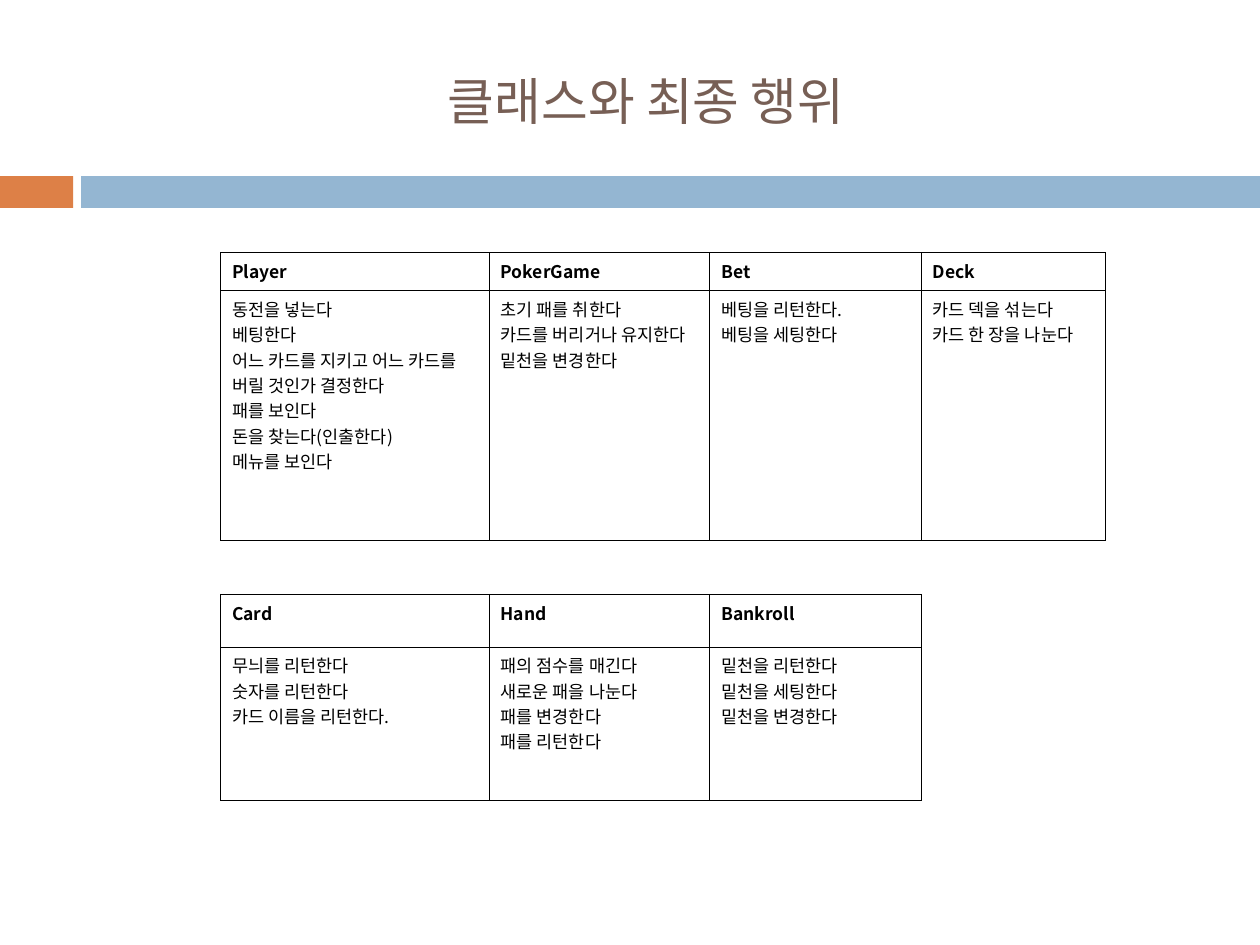
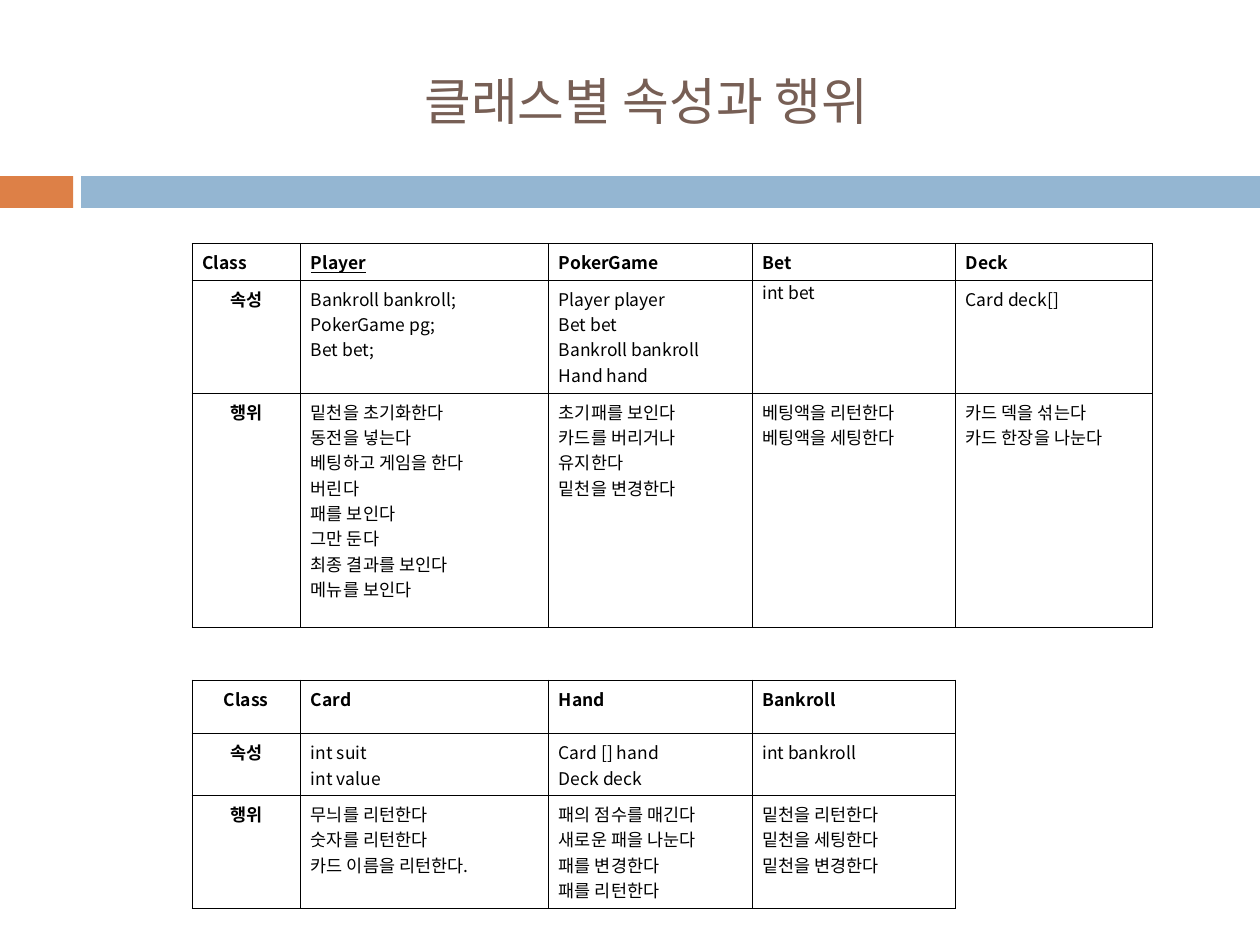
import dataclasses
import itertools

import pptx
import pptx.dml.color
import pptx.enum.shapes
import pptx.enum.text
import pptx.oxml
import pptx.oxml.ns
import pptx.util
from lxml import etree

Inches = pptx.util.Inches
Pt = pptx.util.Pt
qn = pptx.oxml.ns.qn
ALIGN = pptx.enum.text.PP_ALIGN
ANCHOR = pptx.enum.text.MSO_ANCHOR


@dataclasses.dataclass(frozen=True)
class Theme:
    """Colours, font and sizes shared by the slides."""
    font: str = "Noto Sans CJK KR"
    title: str = "775F55"
    accent: str = "DD8047"
    band: str = "94B6D2"
    ink: str = "000000"
    title_size: float = 32
    body_size: float = 11
    border: float = 0.45
    width: int = pptx.util.Cm(28)
    height: int = pptx.util.Cm(21)


THEME = Theme()

CARD_ACTIONS = "무늬를 리턴한다\n숫자를 리턴한다\n카드 이름을 리턴한다."
HAND_ACTIONS = "패의 점수를 매긴다\n새로운 패을 나눈다\n패를 변경한다\n패를 리턴한다"
BANKROLL_ACTIONS = "밑천을 리턴한다\n밑천을 세팅한다\n밑천을 변경한다"

ACTION_ROWS = [
    (0.33, ["Player", "PokerGame", "Bet", "Deck"]),
    (2.19, [
        "동전을 넣는다\n베팅한다\n어느 카드를 지키고 어느 카드를 버릴 것인가 결정한다\n"
        "패를 보인다\n돈을 찾는다(인출한다)\n메뉴를 보인다",
        "초기 패를 취한다\v카드를 버리거나 유지한다\n밑천을 변경한다",
        "베팅을 리턴한다.\n베팅을 세팅한다",
        "카드 덱을 섞는다\n카드 한 장을 나눈다",
    ]),
    (0.47, []),
    (0.46, ["Card", "Hand", "Bankroll"]),
    (1.34, [CARD_ACTIONS, HAND_ACTIONS, BANKROLL_ACTIONS]),
]

CLASS_ROWS = [
    (0.32, ["Class", "Player", "PokerGame", "Bet", "Deck"]),
    (0.99, [
        "속성",
        "Bankroll bankroll;\nPokerGame pg;\nBet bet;",
        "Player player\nBet bet\nBankroll bankroll\nHand hand",
        "int bet",
        "Card deck[]",
    ]),
    (2.05, [
        "행위",
        "밑천을 초기화한다\n동전을 넣는다\v베팅하고 게임을 한다\n버린다\n"
        "패를 보인다\n그만 둔다\v최종 결과를 보인다\n메뉴를 보인다",
        "초기패를 보인다\n카드를 버리거나 유지한다\v밑천을 변경한다",
        "베팅액을 리턴한다\n베팅액을 세팅한다",
        "카드 덱을 섞는다\n카드 한장을 나눈다",
    ]),
    (0.46, []),
    (0.47, ["Class", "Card", "Hand", "Bankroll"]),
    (0.54, ["속성", "int suit\nint value", "Card [] hand\vDeck deck", "int bankroll"]),
    (0.99, ["행위", CARD_ACTIONS, HAND_ACTIONS, BANKROLL_ACTIONS]),
]


def rgb(color):
    """Turn a hex string into a colour."""
    return pptx.dml.color.RGBColor.from_string(color)


def style(p, size, color, bold=False, align=ALIGN.LEFT):
    """Set the font and alignment of a paragraph."""
    p.alignment = align
    p.font.size = Pt(size)
    p.font.bold = bold
    p.font.color.rgb = rgb(color)
    p.font.name = THEME.font
    ea = etree.SubElement(p._p.pPr.find(qn("a:defRPr")), qn("a:ea"))
    ea.set("typeface", THEME.font)


def add_band(slide, left, width, color):
    """Draw one coloured bar under the title."""
    sp = slide.shapes.add_shape(
        pptx.enum.shapes.MSO_SHAPE.RECTANGLE, left, Inches(1.54), width, Inches(0.28))
    sp.shadow.inherit = False
    sp.fill.solid()
    sp.fill.fore_color.rgb = rgb(color)
    sp.line.fill.background()


def add_frame(prs, title):
    """Add a slide with the shared bands and its title."""
    slide = prs.slides.add_slide(prs.slide_layouts[6])
    band_left = Inches(0.71)
    add_band(slide, 0, Inches(0.64), THEME.accent)
    add_band(slide, band_left, THEME.width - band_left, THEME.band)
    tf = slide.shapes.add_textbox(
        Inches(0.74), Inches(0.28), Inches(9.83), Inches(1.19)).text_frame
    tf.word_wrap = True
    tf.vertical_anchor = ANCHOR.MIDDLE
    tf.margin_left = tf.margin_right = Inches(0.11)
    tf.margin_top = tf.margin_bottom = Inches(0.06)
    tf.text = title
    style(tf.paragraphs[0], THEME.title_size, THEME.title, align=ALIGN.CENTER)
    return slide


def set_borders(cell, drawn):
    """Draw or clear each side of a cell."""
    tc_pr = cell._tc.get_or_add_tcPr()
    for side, visible in drawn.items():
        ln = etree.SubElement(tc_pr, qn(f"a:ln{side}"))
        if visible:
            ln.set("w", str(Pt(THEME.border)))
            fill = etree.SubElement(ln, qn("a:solidFill"))
            etree.SubElement(fill, qn("a:srgbClr")).set("val", THEME.ink)
        else:
            ln.set("w", "0")
            etree.SubElement(ln, qn("a:noFill"))


def add_class_table(slide, left, top, widths, rows, margin, labelled=False):
    """Add a table of class groups, the widest of which merges the last two columns."""
    heights = [height for height, _ in rows]
    last = len(widths) - 1
    table = slide.shapes.add_table(
        len(rows), len(widths), Inches(left), Inches(top),
        Inches(sum(widths)), Inches(sum(heights))).table
    table.first_row = table.horz_banding = False
    for column, width in zip(table.columns, widths):
        column.width = Inches(width)
    for row, height in zip(table.rows, heights):
        row.height = Inches(height)

    def used(i, j):
        if not 0 <= i < len(rows):
            return False
        count = len(rows[i][1])
        return 0 <= j < count or (count == last and j == last)

    for i, j in itertools.product(range(len(rows)), range(len(widths))):
        cell = table.cell(i, j)
        neighbours = {"L": (i, j - 1), "R": (i, j + 1), "T": (i - 1, j), "B": (i + 1, j)}
        set_borders(cell, {side: used(i, j) or used(*at) for side, at in neighbours.items()})
        cell.fill.background()
        cell.margin_left = cell.margin_right = Inches(margin)
        cell.margin_top = cell.margin_bottom = Inches(0.05)
        label = labelled and j == 0
        header = not used(i - 1, 0)
        if j < len(rows[i][1]):
            cell.text = rows[i][1][j]
        for p in cell.text_frame.paragraphs:
            style(p, THEME.body_size, THEME.ink, bold=header or label,
                  align=ALIGN.CENTER if label and i else ALIGN.LEFT)
    for i, (_, texts) in enumerate(rows):
        if len(texts) == last:
            table.cell(i, last - 1).merge(table.cell(i, last))
    return table


def build_actions(prs):
    """Build the slide of classes and their final actions."""
    slide = add_frame(prs, "클래스와 최종 행위")
    add_class_table(
        slide, 1.93, 2.21, [2.35, 1.93, 1.85, 1.37, 0.16], ACTION_ROWS, margin=0.1)


def build_classes(prs):
    """Build the slide of attributes and actions by class."""
    slide = add_frame(prs, "클래스별 속성과 행위")
    table = add_class_table(
        slide, 1.68, 2.13, [0.95, 2.17, 1.78, 1.78, 1.5, 0.14], CLASS_ROWS,
        margin=0.09, labelled=True)
    table.cell(0, 1).text_frame.paragraphs[0].font.underline = True
    table.cell(1, 3).text_frame.paragraphs[0].line_spacing = Pt(12)


def main():
    """Build and save the presentation."""
    prs = pptx.Presentation()
    prs.slide_width = THEME.width
    prs.slide_height = THEME.height
    build_actions(prs)
    build_classes(prs)
    prs.save("out.pptx")


if __name__ == "__main__":
    main()
